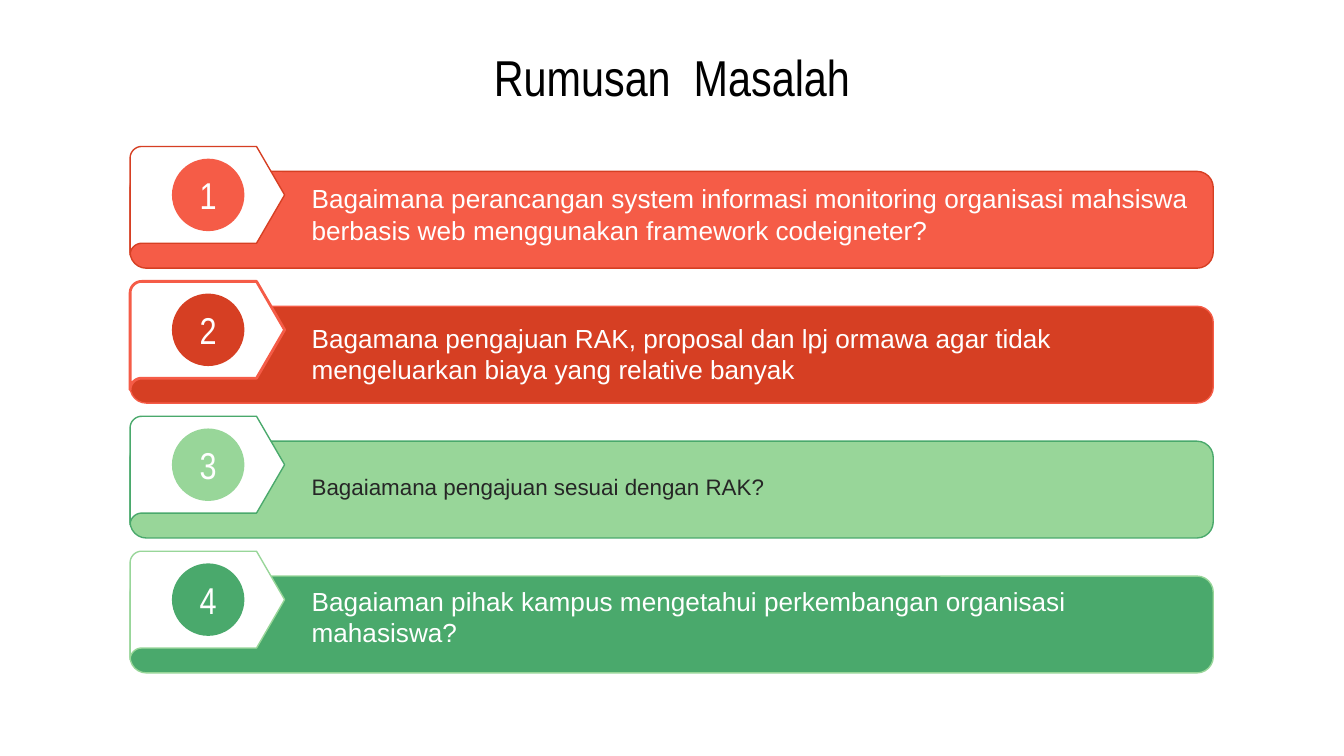
"""Build the slide listing the four problem statements."""
import math

import lxml.etree
import pptx
import pptx.dml.color
import pptx.enum.shapes
import pptx.enum.text
import pptx.oxml.ns
import pptx.util

Cm = pptx.util.Cm
Pt = pptx.util.Pt
MSO_SHAPE = pptx.enum.shapes.MSO_SHAPE
PP_ALIGN = pptx.enum.text.PP_ALIGN

LEFT = 2.46
FIRST_TOP = 2.77
PITCH = 2.55
HEIGHT = 1.83
RADIUS = 0.22
ROWS = [
    dict(text="Bagaimana perancangan system informasi monitoring organisasi mahsiswa "
              "berbasis web menggunakan framework codeigneter?",
         fill="F55C47", line="D63F23", tab_line=0.75, size=14, color="FFFFFF",
         middle=1.28, width=17.3, height=1.65),
    dict(text="Bagamana pengajuan RAK, proposal dan lpj ormawa agar tidak "
              "mengeluarkan biaya yang relative banyak",
         fill="D63F23", line="F55C47", tab_line=1.5, size=14, color="FFFFFF",
         middle=1.36, width=16.51, height=0.58),
    dict(text="Bagaiamana pengajuan sesuai dengan RAK?",
         fill="98D699", line="4AA96C", tab_line=0.75, size=12, color="262626",
         middle=1.33, width=16.64, height=0.74),
    dict(text="Bagaiaman pihak kampus mengetahui perkembangan organisasi mahasiswa?",
         fill="4AA96C", line="98D699", tab_line=0.75, size=14, color="FFFFFF",
         middle=1.23, width=16.64, height=0.74),
]


def set_color(color_format, value):
    """Make a fill solid, or set a font colour, from a hex string."""
    if hasattr(color_format, "solid"):
        color_format.solid()
        color_format = color_format.fore_color
    color_format.rgb = pptx.dml.color.RGBColor.from_string(value)


def apply_format(target, values):
    """Set attributes of an object from a dict."""
    for name, value in values.items():
        setattr(target, name, value)


def write_text(shape, text, color, font, alignment=PP_ALIGN.LEFT):
    """Write one formatted paragraph, centred vertically, and return its run."""
    inset = Cm(0.25)
    apply_format(shape.text_frame, dict(
        word_wrap=True, auto_size=pptx.enum.text.MSO_AUTO_SIZE.NONE,
        vertical_anchor=pptx.enum.text.MSO_ANCHOR.MIDDLE,
        margin_left=inset, margin_right=inset, margin_top=inset, margin_bottom=inset))
    paragraph = shape.text_frame.paragraphs[0]
    paragraph.alignment = alignment
    run = paragraph.add_run()
    run.text = text
    apply_format(run.font, font)
    set_color(run.font.color, color)
    return run


def style_shape(shape, fill, line=None, width=0.75):
    """Set fill and outline and remove the shadow."""
    shape.shadow.inherit = False
    set_color(shape.fill, fill)
    if line:
        set_color(shape.line.fill, line)
        shape.line.width = Pt(width)
    else:
        shape.line.fill.background()


def add_text_shadow(run):
    """Give the letters of a run a soft drop shadow."""
    qn = pptx.oxml.ns.qn
    effects = lxml.etree.Element(qn("a:effectLst"))
    shadow = lxml.etree.SubElement(effects, qn("a:outerShdw"), blurRad="38100",
                                   dist="38100", dir="2700000", algn="tl")
    color = lxml.etree.SubElement(shadow, qn("a:srgbClr"), val="000000")
    lxml.etree.SubElement(color, qn("a:alpha"), val="43000")
    run.font.fill._xPr.find(qn("a:solidFill")).addnext(effects)


def add_title(slide):
    """Place and fill the title placeholder."""
    title = slide.shapes.title
    apply_format(title, dict(left=Cm(1.25), top=Cm(1.14), width=Cm(22.9), height=Cm(0.61)))
    run = write_text(title, "Rumusan  Masalah", "000000",
                     dict(name="Arial Narrow", size=Pt(27)), PP_ALIGN.CENTER)
    add_text_shadow(run)


def add_bar(group, top, row):
    """Add the rounded bar behind a statement."""
    bar = group.shapes.add_shape(MSO_SHAPE.ROUNDED_RECTANGLE, Cm(LEFT), Cm(top),
                                 Cm(20.47), Cm(HEIGHT))
    bar.adjustments[0] = 0.167
    style_shape(bar, row["fill"], row["line"])


def add_tab(group, top, row):
    """Add the folded arrow tab that holds the number."""
    angles = [math.radians(degrees) for degrees in range(0, 91, 9)]
    corner = [(RADIUS * (1 - math.sin(a)), RADIUS * (1 - math.cos(a))) for a in angles]
    fold = [(RADIUS * (1 - math.cos(a)), HEIGHT + RADIUS * (1 - math.sin(a))) for a in angles]
    arrow = [(2.39, HEIGHT), (2.92, HEIGHT / 2), (2.39, 0)]
    points = [(Cm(LEFT + x), Cm(top + y)) for x, y in corner + fold + arrow]
    builder = group.shapes.build_freeform(*points[0])
    builder.add_line_segments(points[1:], close=True)
    style_shape(builder.convert_to_shape(), "FFFFFF", row["line"], row["tab_line"])


def add_statement(group, top, row):
    """Add the text of a statement around its middle line."""
    box = group.shapes.add_textbox(Cm(5.64), Cm(top + row["middle"] - row["height"] / 2),
                                   Cm(row["width"]), Cm(row["height"]))
    write_text(box, row["text"], row["color"], dict(name="Arial", size=Pt(row["size"])))


def add_number(group, top, number, fill):
    """Add the numbered circle."""
    circle = group.shapes.add_shape(MSO_SHAPE.OVAL, Cm(3.25), Cm(top), Cm(1.37), Cm(1.37))
    style_shape(circle, fill)
    write_text(circle, str(number), "FFFFFF",
               dict(name="Arial Narrow", size=Pt(20)), PP_ALIGN.CENTER)


def main():
    """Build and save the presentation."""
    presentation = pptx.Presentation()
    apply_format(presentation, dict(slide_width=Cm(25.4), slide_height=Cm(14.29)))
    slide = presentation.slides.add_slide(presentation.slide_layouts[5])
    add_title(slide)
    for index, row in enumerate(ROWS):
        top = FIRST_TOP + index * PITCH
        group = slide.shapes.add_group_shape()
        add_bar(group, top + 0.47, row)
        add_tab(group, top, row)
        add_statement(group, top, row)
        add_number(group, top + 0.23, index + 1, row["fill"])
    presentation.save("out.pptx")


if __name__ == "__main__":
    main()
